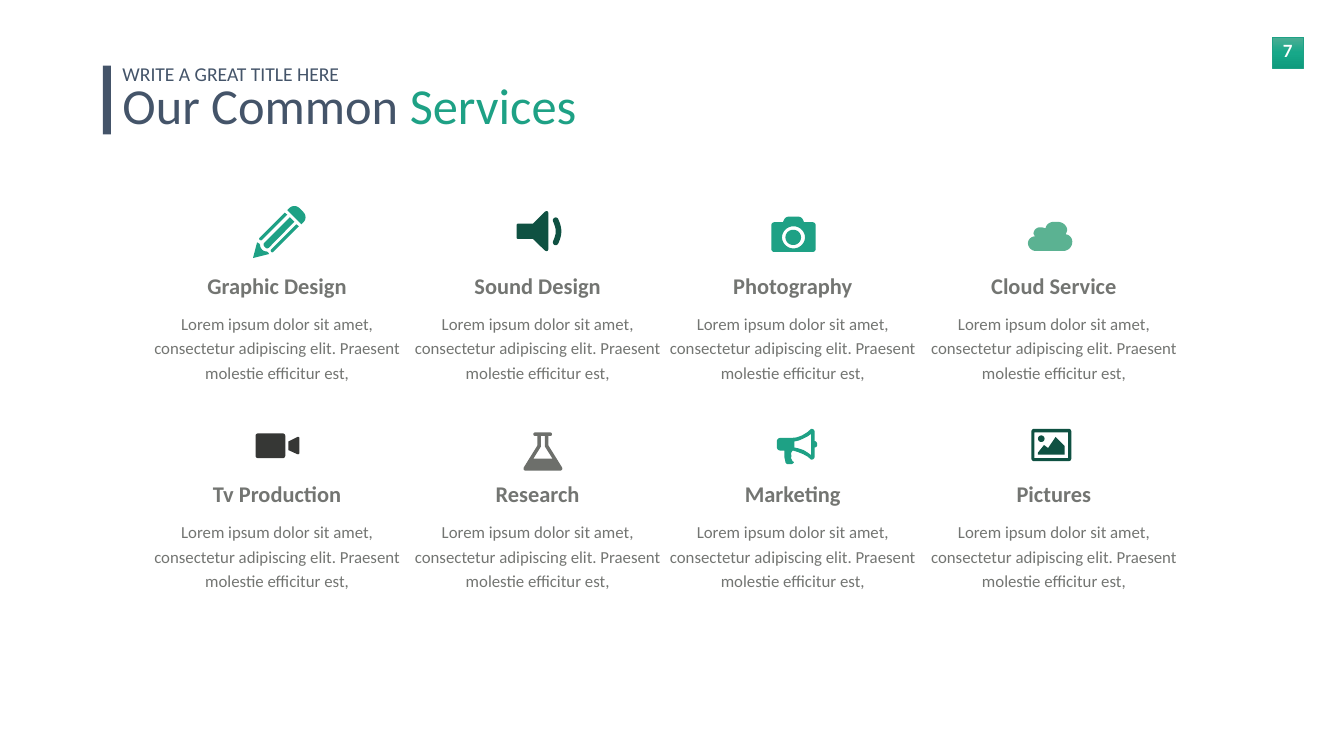
from copy import deepcopy
from math import dist

from pptx import Presentation
from pptx.dml.color import RGBColor
from pptx.enum.shapes import MSO_SHAPE
from pptx.enum.text import PP_ALIGN
from pptx.oxml.ns import qn
from pptx.util import Pt

RECT = MSO_SHAPE.RECTANGLE
LEFT, CENTER = PP_ALIGN.LEFT, PP_ALIGN.CENTER
WHITE = RGBColor(0xFF, 0xFF, 0xFF)
GREEN = RGBColor(0x1E, 0xA1, 0x85)
DEEP = RGBColor(0x0F, 0x51, 0x42)
MINT = RGBColor(0x5B, 0xB2, 0x92)
COAL = RGBColor(0x36, 0x37, 0x35)
STONE = RGBColor(0x6D, 0x6F, 0x6B)
GRAY = RGBColor(0x73, 0x75, 0x72)
NAVY = RGBColor(0x44, 0x54, 0x69)
SHADES = (RGBColor(0x4E, 0xAD, 0x94), RGBColor(0x17, 0xA8, 0x89),
          RGBColor(0x0F, 0x9B, 0x7D))
UNIT = 0.72   # points per icon grid unit
KAPPA = 0.55  # handle length that makes a round corner
STEPS = 8

deck = Presentation()
deck.slide_width, deck.slide_height = Pt(1919.52), Pt(1080)
slide = deck.slides.add_slide(deck.slide_layouts[6])
shapes = slide.shapes


def write(text, x, y, w, h, size, color, font="Calibri", bold=False,
          align=CENTER, space=None, wrap=True, pad=(7.2, 3.6), tail=None):
    """Add a text box; tail is an optional (text, color) second run."""
    frame = shapes.add_textbox(Pt(x), Pt(y), Pt(w), Pt(h)).text_frame
    frame.word_wrap = wrap
    frame.margin_left = frame.margin_right = Pt(pad[0])
    frame.margin_top = frame.margin_bottom = Pt(pad[1])
    para = frame.paragraphs[0]
    para.alignment = align
    if space:
        para.line_spacing = space
    for words, tint in [(text, color)] + ([tail] if tail else []):
        run = para.add_run()
        run.text = words
        run.font.size, run.font.name = Pt(size), font
        run.font.bold, run.font.color.rgb = bold, tint


def trace(points):
    """Return a closed outline in EMU; a third value rounds that corner."""
    out = []
    for i, (x, y, *r) in enumerate(points):
        ends = []
        for near in (points[i - 1], points[(i + 1) % len(points)]):
            gap = dist((x, y), near[:2])
            part = min(r[0] / gap, 1) if r else 0
            ends.append((x + (near[0] - x) * part, y + (near[1] - y) * part))
        a, d = ends
        b, c = [(px + (x - px) * KAPPA, py + (y - py) * KAPPA) for px, py in ends]
        for k in range(STEPS + 1) if r else [0]:
            t = k / STEPS
            s = 1 - t
            out.append(tuple(
                Pt(UNIT * (s**3 * a[n] + 3 * s * s * t * b[n]
                           + 3 * s * t * t * c[n] + t**3 * d[n]))
                for n in (0, 1)))
    return out


# Icons: each is a list of outlines, inner ones cut holes
pencil = [
    [(96, 38), (68, 10), (82, -4, 14), (110, 24, 14)],
    [(86, 38), (91, 42), (38, 95, 3), (34, 90, 3)],
    [(63, 15), (68, 19), (16, 71, 3), (11, 67, 3)],
    [(73, 24), (82, 33), (28, 88, 5), (19, 78, 5)],
    [(32, 97), (29, 92, 3), (14, 92, 13), (14, 77, 3), (8, 74), (0, 105)],
]
speaker = [
    [(0, 25, 2), (32, 25), (63, -6, 12), (63, 85, 12), (32, 55), (0, 55, 2)],
    [(71, 16, 3), (78, 11, 4), (82, 15), (87, 27, 6), (89, 40, 6), (87, 53, 6),
     (82, 65), (77, 69, 4), (71, 64, 4), (72, 60), (76, 50, 5), (78, 40, 5),
     (76, 30, 5), (72, 20)],
]
camera = [
    [(0, 11, 6), (23, 11), (28, 0, 6), (60, 0, 6), (65, 11), (88, 11, 6),
     (88, 70, 6), (0, 70, 6)],
    [(21, 19, 23), (67, 19, 23), (67, 63, 23), (21, 63, 23)],
    [(28, 26, 15), (59, 26, 15), (59, 56, 15), (28, 56, 15)],
]
cloud = [
    [(75, 25), (88, 27, 12), (88, 58, 18), (0, 58, 16), (0, 29, 14), (14, 29),
     (11, 24), (11, 11, 13), (28, 11), (35, 13), (36, 0, 16), (78, 0, 20),
     (78, 17)],
]
video = [
    [(0, 0, 5), (59, 0, 5), (59, 49, 5), (0, 49, 5)],
    [(65, 16), (87, 5, 5), (87, 43, 5), (65, 33)],
]
flask = [
    [(18, 0, 3.5), (55, 0, 3.5), (55, 7, 3.5), (48, 7), (48, 26), (79, 76, 9),
     (-5, 76, 9), (26, 26), (26, 7), (18, 7, 3.5)],
    [(18, 52), (56, 52), (41, 28), (41, 7), (33, 7), (33, 28)],
]
horn = [
    [(0, 18, 7), (28, 18), (39, 17), (50, 13), (60, 7), (68, 0), (75, 0, 6),
     (75, 24), (80, 26, 4), (80, 36, 4), (75, 37), (75, 61, 6), (68, 61),
     (61, 55), (52, 50), (42, 46), (32, 43), (28, 47, 3), (29, 54), (28, 58),
     (31, 64), (34, 66), (32, 70, 4), (18, 70, 4), (15, 56), (15, 43),
     (0, 43, 7)],
    [(68, 10), (61, 15), (53, 19), (44, 23), (35, 25), (35, 37), (44, 39),
     (53, 42), (61, 47), (68, 52)],
]
photo = [
    [(0, 0, 5), (79, 0, 5), (79, 64, 5), (0, 64, 5)],
    [(6, 7), (73, 7), (73, 58), (6, 58)],
    [(13, 13, 6.5), (26, 13, 6.5), (26, 26, 6.5), (13, 26, 6.5)],
    [(66, 51), (13, 51), (13, 47), (25, 32), (33, 38), (48, 16), (66, 34)],
]

# Page number
badge = shapes.add_shape(RECT, Pt(1817.3), Pt(52.6), Pt(44.6), Pt(44.6))
badge.shadow.inherit = False
badge.line.color.rgb, badge.line.width = GREEN, Pt(0.5)
badge.fill.gradient()
badge.fill.gradient_angle = 270
stops = badge.fill._xPr.find(qn("a:gradFill")).find(qn("a:gsLst"))
stops.insert(1, deepcopy(stops[0]))
for i, stop in enumerate(badge.fill.gradient_stops):
    stop.position, stop.color.rgb = i / 2, SHADES[i]
write("7", 1810.1, 50.4, 58.3, 43.9, 24, WHITE, font="Lato", bold=True,
      wrap=False, pad=(14.4, 7.2))

# Title
bar = shapes.add_shape(RECT, Pt(146.9), Pt(93.6), Pt(11.5), Pt(98.6))
bar.shadow.inherit = False
bar.fill.solid()
bar.fill.fore_color.rgb = NAVY
bar.line.fill.background()
write("Our Common ", 167.8, 118.8, 1104.5, 79.9, 72, NAVY, align=LEFT,
      space=0.8, tail=("Services", GREEN))
write("WRITE A GREAT TITLE HERE", 167.8, 85, 689.8, 41, 28, NAVY, align=LEFT)

# Services
BODY = ("Lorem ipsum dolor sit amet, consectetur adipiscing elit. "
        "Praesent molestie efficitur est,")
COLS = (211, 583.2, 947.5, 1320.5)
ROWS = (385.2, 682.6)
services = [
    ("Graphic Design", pencil, GREEN, 361.4, 293),
    ("Sound Design", speaker, DEEP, 738, 301.7),
    ("Photography", camera, GREEN, 1101.6, 309.6),
    ("Cloud Service", cloud, MINT, 1468.1, 316.8),
    ("Tv Production", video, COAL, 365, 619.2),
    ("Research", flask, STONE, 748.8, 617.8),
    ("Marketing", horn, GREEN, 1109.5, 612.7),
    ("Pictures", photo, DEEP, 1473.1, 612.7),
]
for i, (name, icon, tint, x, y) in enumerate(services):
    row, col = divmod(i, len(COLS))
    left, top = COLS[col], ROWS[row]
    first, *rest = [trace(points) for points in icon]
    pen = shapes.build_freeform(*first[0])
    pen.add_line_segments(first[1:])
    for line in rest:
        pen.move_to(*line[0])
        pen.add_line_segments(line[1:])
    mark = pen.convert_to_shape(Pt(x), Pt(y))
    mark.shadow.inherit = False
    mark.fill.solid()
    mark.fill.fore_color.rgb = tint
    mark.line.fill.background()
    write(name, left, top, 369.4, 46, 32, GRAY, bold=True)
    write(BODY, left, top + 54, 369.4, 120, 24, GRAY, space=1.2)

deck.save("out.pptx")
